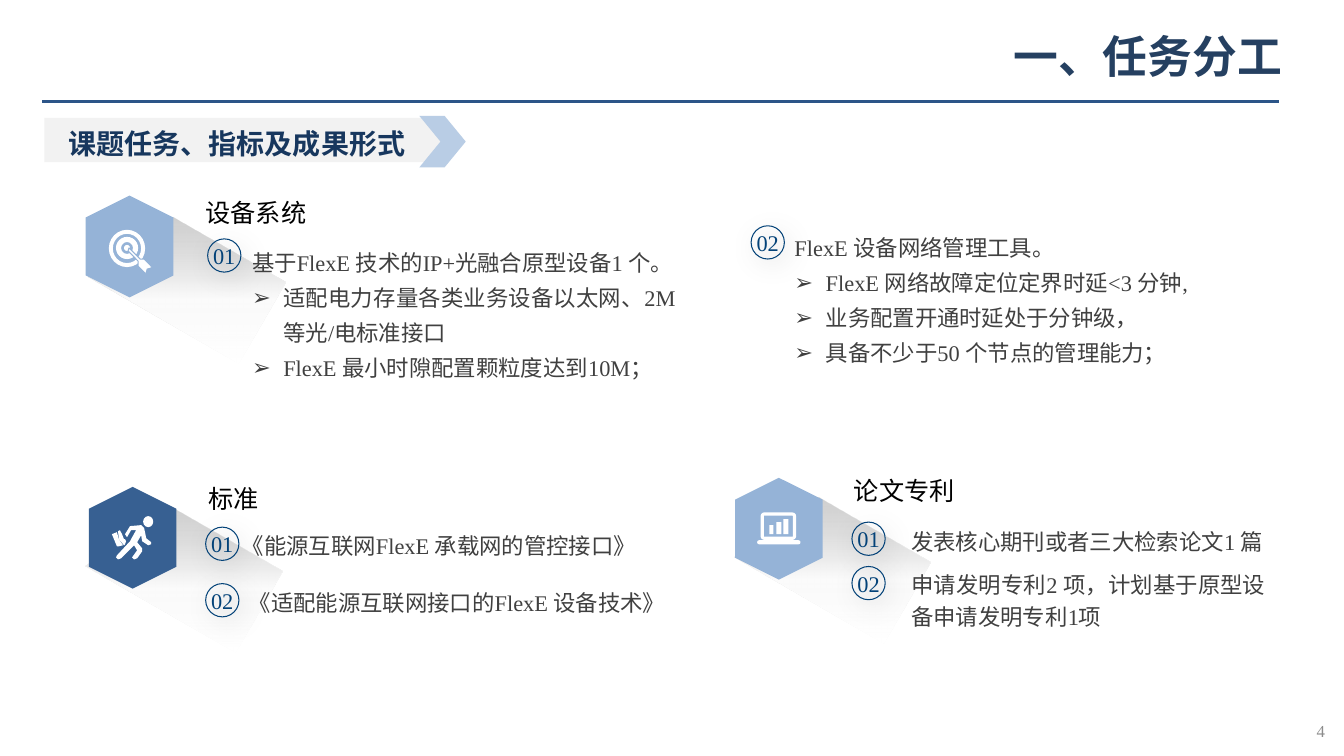
from lxml import etree
from pptx import Presentation
from pptx import util as u
from pptx.dml.color import RGBColor
from pptx.enum import lang, shapes, text
from pptx.oxml import parse_xml
from pptx.oxml.ns import nsdecls, qn

PX = 9144  # 100 px to the inch
FONT = "Times New Roman"
WHITE, GREY, INK = "FFFFFF", "404040", "034278"
LIGHT_BLUE, DARK_BLUE = "95B3D7", "376092"
KIND = shapes.MSO_SHAPE
ALIGN = text.PP_ALIGN
ANCHOR = text.MSO_ANCHOR

presentation = Presentation()
presentation.slide_width, presentation.slide_height = 1333 * PX, 750 * PX
slide = presentation.slides.add_slide(presentation.slide_layouts[3])
title, device_list, tool_list = slide.placeholders


def write(shape, lines, size=16, color=GREY, bold=False, align=ALIGN.JUSTIFY,
          spacing=None, anchor=ANCHOR.TOP, inset=None, wrap=True, bullets=False):
    """Fill a shape with paragraphs; with bullets, all but the first get an arrow."""
    frame = shape.text_frame
    frame.auto_size = text.MSO_AUTO_SIZE.NONE
    frame.word_wrap, frame.vertical_anchor = wrap, anchor
    if inset is not None:
        frame.margin_left = frame.margin_right = inset * PX
        frame.margin_top = frame.margin_bottom = inset * PX
    for number, line in enumerate(lines):
        paragraph = frame.paragraphs[0] if number == 0 else frame.add_paragraph()
        paragraph.alignment, paragraph.line_spacing = align, spacing
        paragraph.space_before = u.Pt(0)
        run = paragraph.add_run()
        run.text = line
        run.font.name, run.font.size, run.font.bold = FONT, u.Pt(size), bold
        run.font.language_id = lang.MSO_LANGUAGE_ID.SIMPLIFIED_CHINESE
        run.font.color.rgb = RGBColor.from_string(color)
        if bullets:
            properties = paragraph._p.get_or_add_pPr()
            indent = 31 * PX if number else 0
            properties.set("marL", str(indent))
            properties.set("indent", str(-indent))
            if number:
                etree.SubElement(properties, qn("a:buChar")).set("char", "➢")
            else:
                etree.SubElement(properties, qn("a:buNone"))


def paint(shape, fill=None, line=None, width=0.75):
    shape.shadow.inherit = False
    if fill:
        shape.fill.solid()
        shape.fill.fore_color.rgb = RGBColor.from_string(fill)
    else:
        shape.fill.background()
    if line:
        shape.line.color.rgb = RGBColor.from_string(line)
        shape.line.width = u.Pt(width)
    else:
        shape.line.fill.background()
    return shape


# Title and section heading
title.left, title.top, title.width, title.height = [n * PX for n in (456, 23, 826, 125)]
write(title, ["一、任务分工"], size=32, color="254061", bold=True, align=ALIGN.RIGHT)

rule = slide.shapes.add_connector(
    shapes.MSO_CONNECTOR.STRAIGHT, 42 * PX, 101 * PX, 1269 * PX, 101 * PX)
rule.line.color.rgb = RGBColor.from_string("2C5588")
rule.line.width = u.Pt(2.25)
etree.SubElement(rule._element.spPr, qn("a:effectLst"))

band = slide.shapes.add_shape(KIND.RECTANGLE, *[n * PX for n in (44, 117, 396, 44)])
paint(band, "F2F2F2")
chevron = slide.shapes.add_shape(KIND.CHEVRON, *[n * PX for n in (416, 115, 46, 51)])
chevron.adjustments[0] = 0.455
paint(chevron, "B9CDE5")

# Long shadows, then hexagons
for left, top in [(740, 509), (100, 231), (97, 518)]:
    builder = slide.shapes.build_freeform(0, 93, scale=PX)
    builder.add_line_segments([(43, 0), (171, 0), (171, 93)])
    long_shadow = paint(builder.convert_to_shape(left * PX, top * PX))
    long_shadow.rotation = 30
    stops = "".join(
        f'<a:gs pos="{pos}000"><a:srgbClr val="{color}"><a:alpha val="{alpha}000"/></a:srgbClr></a:gs>'
        for pos, color, alpha in [(0, "000000", 20), (61, "F2F2F2", 34), (100, "F2F2F2", 0)])
    gradient = parse_xml(
        f'<a:gradFill rotWithShape="1" {nsdecls("a")}><a:gsLst>{stops}</a:gsLst>'
        '<a:lin ang="3600000" scaled="0"/></a:gradFill>')
    properties = long_shadow._element.spPr
    properties.replace(properties.find(qn("a:noFill")), gradient)

for left, top, color in [(78, 201, LIGHT_BLUE), (81, 490, DARK_BLUE), (722, 481, LIGHT_BLUE)]:
    hexagon = slide.shapes.add_shape(KIND.HEXAGON, left * PX, top * PX, 101 * PX, 87 * PX)
    hexagon.rotation = 90
    paint(hexagon, color)

# Icons: target rings, runner's head, laptop base and chart bars
for kind, box, adjustment in [
    (KIND.DONUT, (108, 228, 36, 37), 0.11),
    (KIND.DONUT, (115, 235, 22, 22), 0.23),
    (KIND.OVAL, (123, 243, 6, 6), None),
    (KIND.OVAL, (142, 512, 10, 11), None),
    (KIND.ROUNDED_RECTANGLE, (751, 536, 43, 4), 0.5),
    (KIND.RECTANGLE, (763, 521, 4, 9), None),
    (KIND.RECTANGLE, (770, 518, 5, 12), None),
    (KIND.RECTANGLE, (777, 515, 5, 15), None),
]:
    part = paint(slide.shapes.add_shape(kind, *[n * PX for n in box]), WHITE)
    if adjustment:
        part.adjustments[0] = adjustment

screen = slide.shapes.add_shape(KIND.ROUNDED_RECTANGLE, *[n * PX for n in (756, 510, 32, 24)])
screen.adjustments[0] = 0.08
paint(screen, line=WHITE, width=2.25)

dart = [(128, 246), (139, 257), (143, 257), (150, 264), (150, 266), (146, 267),
        (145, 271), (144, 271), (137, 264), (137, 259), (127, 249)]
runner = [(129, 522), (140, 521), (143, 524), (145, 534), (150, 538), (150, 540),
          (147, 541), (141, 537), (140, 531), (136, 538), (141, 544), (141, 547),
          (136, 554), (133, 555), (131, 553), (136, 546), (133, 541), (120, 554),
          (117, 555), (115, 553), (116, 551), (129, 537), (130, 535), (135, 526),
          (130, 526), (126, 533), (124, 530)]
case_side = [(111, 530), (116, 528), (118, 535), (122, 541), (118, 542), (116, 542)]
case_front = [(117, 527), (119, 526), (121, 530), (123, 535), (124, 535), (125, 537),
              (124, 540), (123, 541), (118, 535)]
for points, outline in [(dart, LIGHT_BLUE), (runner, None), (case_side, None), (case_front, None)]:
    builder = slide.shapes.build_freeform(*points[0], scale=PX)
    builder.add_line_segments(points[1:])
    paint(builder.convert_to_shape(), WHITE, outline)

# Lists stand in front of the long shadows
for holder, box, lines in [
    (device_list, (240, 234, 440, 147), [
        "基于FlexE 技术的IP+光融合原型设备1 个。",
        "适配电力存量各类业务设备以太网、2M 等光/电标准接口",
        "FlexE 最小时隙配置颗粒度达到10M；"]),
    (tool_list, (778, 219, 653, 147), [
        "FlexE 设备网络管理工具。",
        "FlexE 网络故障定位定界时延<3 分钟,",
        "业务配置开通时延处于分钟级，",
        "具备不少于50 个节点的管理能力；"]),
]:
    holder.left, holder.top, holder.width, holder.height = [n * PX for n in box]
    write(holder, lines, spacing=u.Pt(25), bullets=True)
    holder.element.getparent().append(holder.element)

heading = dict(size=18, color="000000", spacing=1.2)
item = dict(spacing=1.2)
for box, line, style in [
    ((68, 126, 461, 34), "课题任务、指标及成果形式",
     dict(size=20, color="17375E", bold=True, align=ALIGN.LEFT, inset=0)),
    ((194, 185, 264, 44), "设备系统", heading),
    ((197, 469, 297, 44), "标准", heading),
    ((837, 461, 224, 44), "论文专利", heading),
    ((230, 518, 442, 42), "《能源互联网FlexE 承载网的管控接口》", item),
    ((237, 574, 447, 42), "《适配能源互联网接口的FlexE 设备技术》", item),
    ((894, 514, 632, 40), "发表核心期刊或者三大检索论文1 篇", item),
    ((894, 556, 371, 75), "申请发明专利2 项，计划基于原型设备申请发明专利1项", item),
    ((1013, 705, 311, 40), "4",
     dict(size=12, color="8C8C8C", align=ALIGN.RIGHT, anchor=ANCHOR.MIDDLE)),
]:
    write(slide.shapes.add_textbox(*[n * PX for n in box]), [line], **style)

# Number discs
for left, top, number in [(206, 237, "01"), (745, 224, "02"), (204, 523, "01"),
                          (204, 579, "02"), (845, 518, "01"), (845, 562, "02")]:
    disc = slide.shapes.add_shape(KIND.OVAL, left * PX, top * PX, 33 * PX, 33 * PX)
    paint(disc, line=INK)
    write(disc, [number], color=INK, align=ALIGN.CENTER, anchor=ANCHOR.MIDDLE,
          inset=0, wrap=False)
    disc._element.spPr.find(qn("a:effectLst")).append(parse_xml(
        f'<a:outerShdw {nsdecls("a")} blurRad="254000" dist="63500" dir="2700000" algn="tl" '
        'rotWithShape="0"><a:srgbClr val="000000"><a:alpha val="30000"/></a:srgbClr></a:outerShdw>'))

presentation.save("out.pptx")
